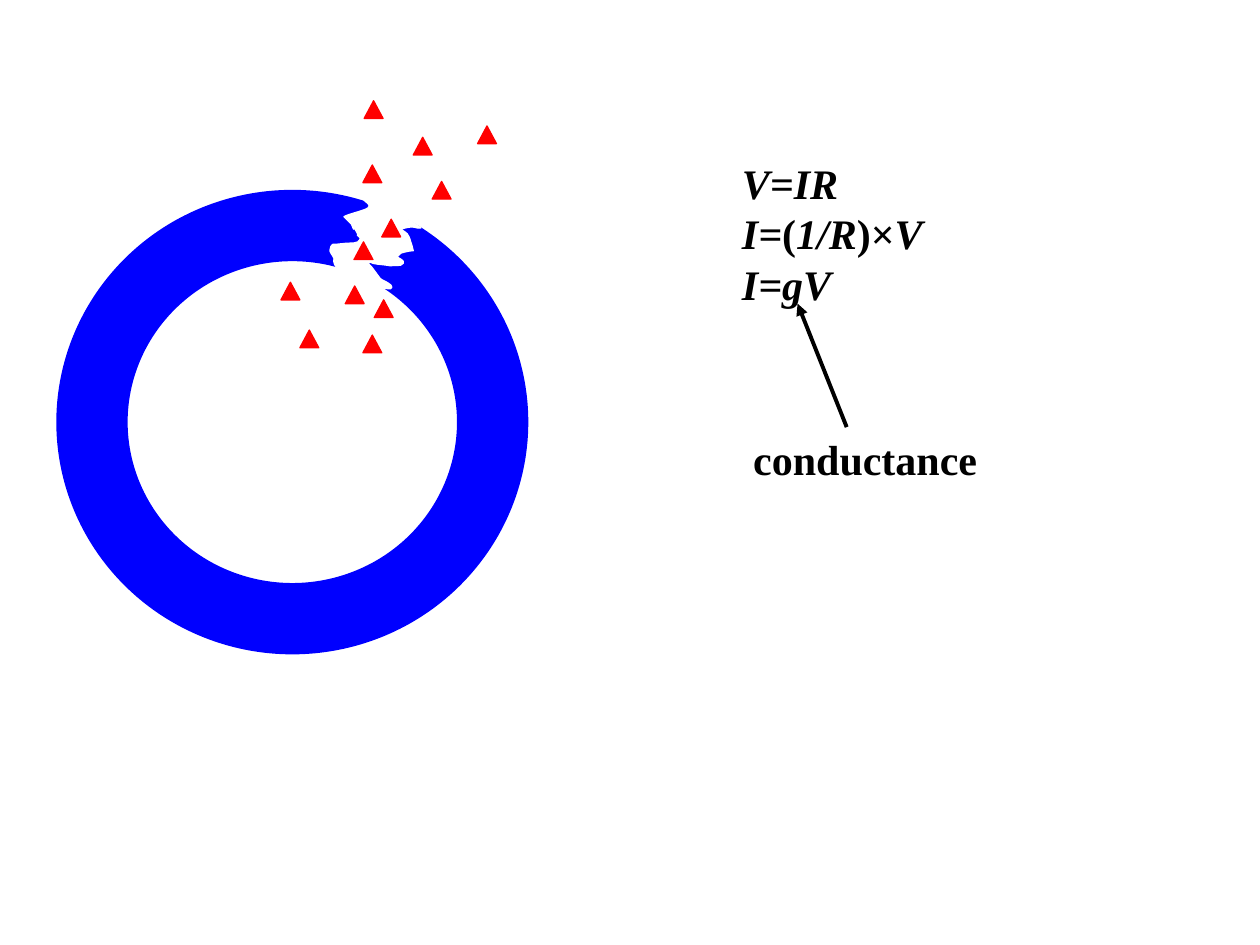
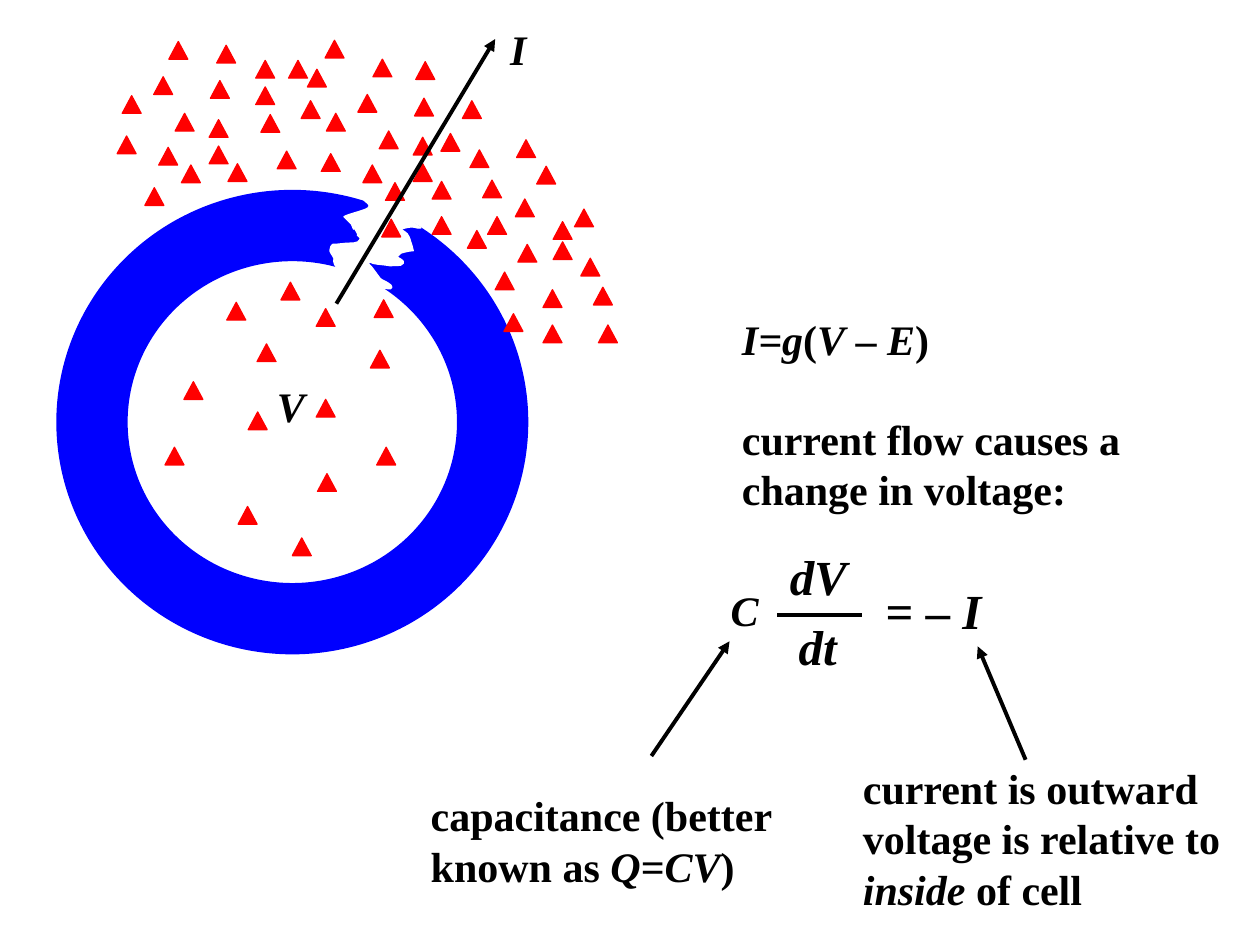
from dataclasses import dataclass

from lxml.etree import SubElement
from pptx import Presentation
from pptx.dml.color import RGBColor
from pptx.enum.shapes import MSO_CONNECTOR, MSO_SHAPE
from pptx.enum.text import MSO_ANCHOR, MSO_AUTO_SIZE
from pptx.oxml.ns import qn
from pptx.util import Inches, Pt


@dataclass(frozen=True)
class Theme:
    font: str = "Times New Roman"
    ink: RGBColor = RGBColor(0, 0, 0)
    paper: RGBColor = RGBColor(255, 255, 255)
    membrane: RGBColor = RGBColor(0, 0, 255)
    ion: RGBColor = RGBColor(255, 0, 0)
    body: int = 24
    formula: int = 28
    hairline: float = 0.75
    stroke: float = 2.25
    membrane_width: float = 40.75


@dataclass(frozen=True)
class Box:
    left: float
    top: float

    def at(self, x, y):
        return Inches(self.left + x), Inches(self.top + y)


THEME = Theme()
CELL = Box(0, 0)
NOTES = Box(5.79, 1.2)
EQUATION = Box(5.7, 4.29)
CAPTIONS = Box(3.32, 6)

ION_SIZE = Inches(0.15), Inches(0.14)
SHARED_IONS = [(2.88, 1.31), (3.43, 1.44), (3.03, 1.74), (2.97, 2.38),
               (3.28, 1.09), (2.23, 2.24)]
FEW_IONS = [(2.38, 2.62), (2.81, 1.92), (2.89, 0.8), (3.79, 1), (2.88, 2.66),
            (2.74, 2.27)]
INNER_IONS = [(2.52, 3.76), (1.8, 2.4), (2.94, 2.78), (2.51, 2.45), (1.31, 3.55),
              (1.89, 4.02), (1.46, 3.03), (2.51, 3.17), (2.04, 2.73), (2.32, 4.27),
              (1.97, 3.27), (2.99, 3.55)]
OUTER_IONS = [
    (3.01, 1.04), (3.73, 1.19), (2.84, 0.75), (2.59, 0.9), (2.2, 1.2), (3.67, 0.8),
    (2.44, 0.55), (2.96, 0.47), (2.39, 0.8), (3.06, 1.45), (2.55, 1.22), (2.03, 0.69),
    (2.58, 0.32), (3.3, 0.49), (3.28, 1.3), (3.83, 1.43), (3.43, 1.72), (3.29, 0.78),
    (3.5, 1.06), (4.1, 1.11), (3.93, 2.16), (3.87, 1.72), (4.26, 1.32), (4.11, 1.94),
    (3.71, 1.83), (4.09, 1.58), (4.39, 1.76), (1.26, 1.17), (1.81, 1.3), (1.39, 0.9),
    (1.66, 0.95), (1.22, 0.61), (0.97, 0.76), (2.29, 0.48), (1.34, 0.33), (2.03, 0.48),
    (1.44, 1.31), (0.93, 1.08), (1.15, 1.49), (1.72, 0.36), (1.66, 1.16), (1.67, 0.64),
    (2.07, 0.91), (4.31, 2.3), (4.61, 2.05), (4.56, 1.66), (4.71, 2.28), (4.31, 2.58),
    (4.39, 1.92), (4, 2.49), (4.75, 2.58)]

# Torn opening in the membrane, in hundredths of an inch. A row of six holds
# two control points and the end of a cubic curve; a row of two ends a line.
GAP_START = (27, 0)
GAP_SEGMENTS = [
    (29, 2, 33, 4, 30, 6), (28, 8, 14, 11, 11, 13), (17, 19),
    (21, 29, 16, 16, 21, 25), (25, 32, 18, 24, 24, 30), (24, 31, 23, 32, 22, 33),
    (20, 34, 18, 34, 16, 34), (11, 34, 7, 35, 2, 35), (1, 36, 0, 37, 0, 39),
    (-1, 41, 2, 43, 3, 46), (4, 48, 1, 49, 6, 54), (17, 58, 34, 66, 43, 70),
    (49, 70, 48, 71, 49, 69), (50, 67, 41, 63, 41, 63), (39, 62, 38, 59, 36, 57),
    (35, 56, 34, 54, 33, 53), (32, 52, 30, 50, 30, 49), (31, 48, 33, 50, 34, 50),
    (38, 51, 43, 51, 48, 52), (51, 51, 56, 53, 58, 50), (60, 48, 53, 45, 53, 45),
    (54, 44, 55, 43, 56, 42), (59, 41, 63, 40, 66, 40), (65, 37, 65, 35, 64, 33),
    (62, 26, 61, 26, 56, 23), (68, 19, 68, 23, 72, 22), (63, 15, 40, 3, 27, 0)]


def paint(sp, line, width, fill=None):
    sp.shadow.inherit = False
    if fill is None:
        sp.fill.background()
    else:
        sp.fill.solid()
        sp.fill.fore_color.rgb = fill
    sp.line.color.rgb = line
    sp.line.width = Pt(width)


def add_text(s, box, x, y, w, h, lines, size=THEME.body, wrap=False):
    """Write lines of text; parts between asterisks are italic."""
    sp = s.shapes.add_textbox(*box.at(x, y), Inches(w), Inches(h))
    tf = sp.text_frame
    tf.word_wrap = wrap
    tf.auto_size = MSO_AUTO_SIZE.SHAPE_TO_FIT_TEXT
    for i, line in enumerate(lines):
        p = tf.add_paragraph() if i else tf.paragraphs[0]
        for j, part in enumerate(line.split("*")):
            if not part:
                continue
            r = p.add_run()
            r.text = part
            style = {"name": THEME.font, "size": Pt(size), "bold": True,
                     "italic": j % 2 == 1}
            for key, value in style.items():
                setattr(r.font, key, value)
            r.font.color.rgb = THEME.ink
    return tf


def add_line(s, box, start, end, arrow=True):
    sp = s.shapes.add_connector(MSO_CONNECTOR.STRAIGHT, *box.at(*start), *box.at(*end))
    sp.line.color.rgb = THEME.ink
    sp.line.width = Pt(THEME.stroke)
    if arrow:
        SubElement(sp.line._get_or_add_ln(), qn("a:tailEnd"), type="triangle")
    SubElement(sp._element.spPr, qn("a:effectLst"))


def add_opening(s, box):
    """Build the outline from end points, then bend its lines into curves."""
    outline = s.shapes.build_freeform(*GAP_START, scale=Inches(0.01))
    outline.add_line_segments([row[-2:] for row in GAP_SEGMENTS], close=True)
    sp = outline.convert_to_shape(*box.at(2.62, 1.59))
    paint(sp, THEME.paper, THEME.hairline, THEME.paper)
    lines = list(sp._element.iter(qn("a:lnTo")))
    for segment, row in zip(lines, GAP_SEGMENTS):
        if len(row) == 2:
            continue
        segment.tag = qn("a:cubicBezTo")
        for pt in list(segment):
            segment.remove(pt)
        for x, y in zip(row[::2], row[1::2]):
            SubElement(segment, qn("a:pt"), x=str(x), y=str(y))


def add_cell(s, box, ions, grouped=False):
    """Draw the ring-shaped membrane, its opening and the ions."""
    ring = s.shapes.add_shape(MSO_SHAPE.OVAL, *box.at(0.73, 1.79),
                              Inches(3.18), Inches(3.12))
    paint(ring, THEME.membrane, THEME.membrane_width)
    add_opening(s, box)
    shapes = s.shapes.add_group_shape().shapes if grouped else s.shapes
    for x, y in ions:
        ion = shapes.add_shape(MSO_SHAPE.ISOSCELES_TRIANGLE, *box.at(x, y), *ION_SIZE)
        paint(ion, THEME.ion, THEME.hairline, THEME.ion)


def add_current_and_voltage(s, box):
    add_line(s, box, (2.67, 2.41), (3.93, 0.31))
    add_text(s, box, 3.95, 0.14, 0.33, 0.5, ["*I*"])
    add_text(s, box, 2.1, 2.97, 0.43, 0.5, ["*V*"])


def add_ohms_law(s, box):
    add_text(s, box, 0, 0, 1.64, 1.31, ["*V=IR*", "*I=*(*1/R*)×*V*", "*I=gV*"])
    add_text(s, box, 0.09, 2.19, 2, 0.5, ["conductance"])
    add_line(s, box, (0.93, 2.19), (0.54, 1.21))


def add_current_flow(s, box):
    tf = add_text(s, box, 0, 0, 3.23, 2.93,
                  ["*I=g*(*V* – *E*)", "current flow causes a", "change in voltage:"])
    tf.auto_size = MSO_AUTO_SIZE.NONE
    tf.vertical_anchor = MSO_ANCHOR.BOTTOM
    tf.paragraphs[0].space_after = Pt(28)


def add_equation(s, box):
    add_text(s, box, 0.47, 0, 0.66, 0.57, ["*dV*"], THEME.formula)
    add_line(s, box, (0.47, 0.59), (1.14, 0.59), arrow=False)
    add_text(s, box, 0.54, 0.55, 0.51, 0.57, ["*dt*"], THEME.formula)
    add_text(s, box, 1.23, 0.27, 0.97, 0.57, ["= – *I*"], THEME.formula)
    add_text(s, box, 0, 0.3, 0.43, 0.5, ["*C*"])


def add_captions(s, box):
    """Explain the equation's terms, with an arrow up to each."""
    add_line(s, box, (1.85, 0), (2.47, -0.91))
    add_text(s, box, 0, 0.22, 3.44, 0.91,
             ["capacitance (better known as *Q*=*CV*)"], wrap=True)
    add_line(s, box, (4.82, 0.03), (4.44, -0.87))
    add_text(s, box, 3.43, 0, 3.25, 1.31,
             ["current is outward", "voltage is relative to *inside* of cell"], wrap=True)


def conductance_slide(s):
    add_cell(s, CELL, SHARED_IONS + FEW_IONS, grouped=True)
    add_ohms_law(s, NOTES)


def capacitance_slide(s):
    add_cell(s, CELL, SHARED_IONS + INNER_IONS + OUTER_IONS)
    add_current_flow(s, NOTES)
    add_equation(s, EQUATION)
    add_captions(s, CAPTIONS)
    add_current_and_voltage(s, CELL)


def main():
    prs = Presentation()
    prs.slide_width, prs.slide_height = Inches(10), Inches(7.5)
    for build in (conductance_slide, capacitance_slide):
        s = prs.slides.add_slide(prs.slide_layouts[6])
        s.background.fill.solid()
        s.background.fill.fore_color.rgb = THEME.paper
        build(s)
    prs.save("out.pptx")


if __name__ == "__main__":
    main()
